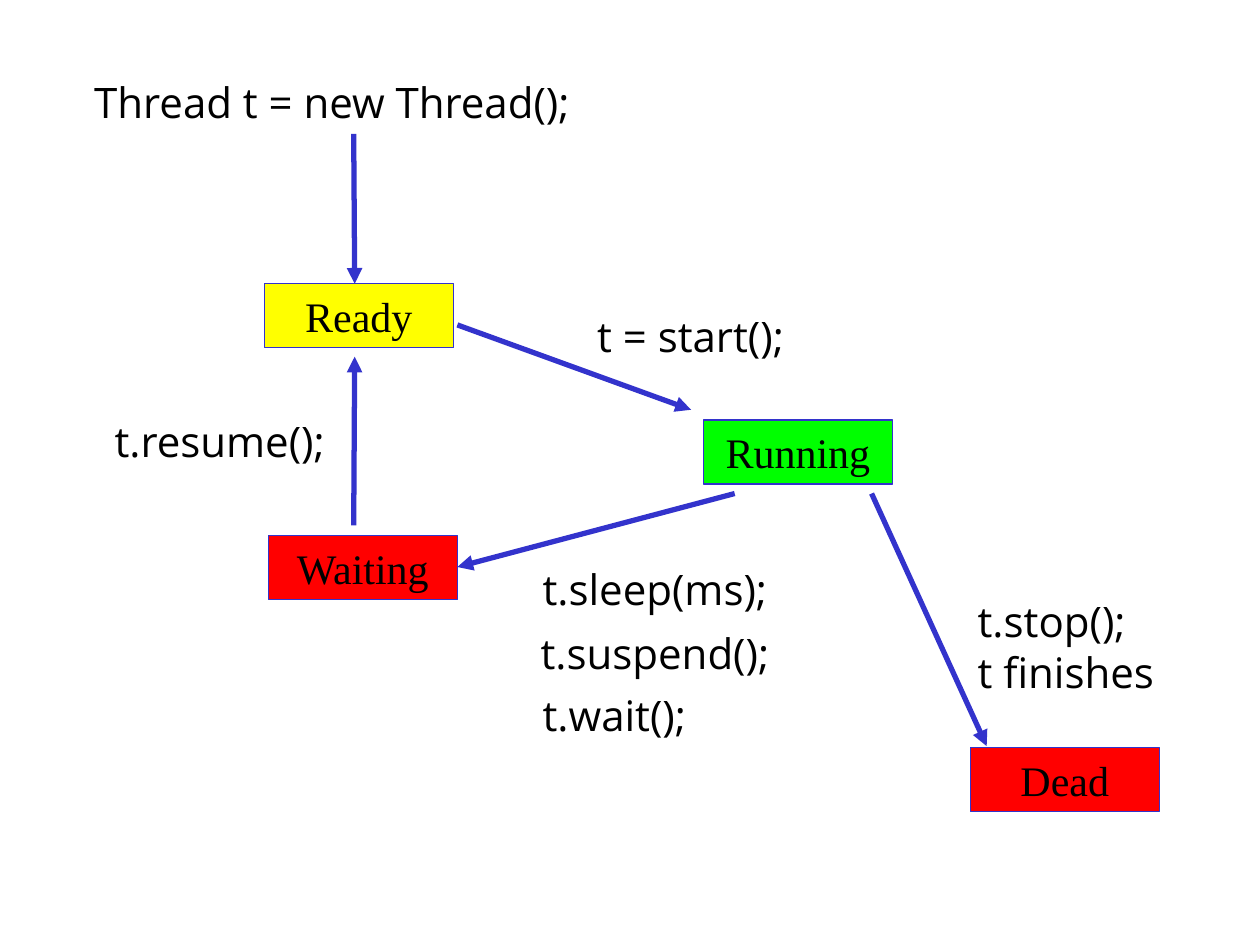
"""Draw the life cycle of a thread as a state diagram."""
from dataclasses import dataclass

from lxml import etree
from pptx import Presentation
from pptx import util as u
from pptx.dml.color import RGBColor
from pptx.enum import shapes, text
from pptx.oxml import ns


@dataclass(frozen=True)
class Theme:
    ink: str = "000000"
    line: str = "3333CC"
    ready: str = "FFFF00"
    running: str = "00FF00"
    halted: str = "FF0000"
    state_font: str = "Times New Roman"
    code_font: str = "Open Sans"
    size: float = 24
    outline: float = 0.75
    arrow: float = 3


@dataclass(frozen=True)
class State:
    name: str
    left: float
    top: float
    fill: str


@dataclass(frozen=True)
class Transition:
    start: tuple[float, float]
    end: tuple[float, float]


@dataclass(frozen=True)
class Label:
    lines: tuple[str, ...]
    left: float
    top: float
    width: float = 5.18


THEME = Theme()
STATE_WIDTH, ROW_HEIGHT, LINE_PITCH = 3.81, 1.29, 1.02
STATE_FRAME = {"word_wrap": True, "vertical_anchor": text.MSO_ANCHOR.MIDDLE}
LABEL_FRAME = {"word_wrap": True, "vertical_anchor": text.MSO_ANCHOR.TOP}
STATE_PARA = {"alignment": text.PP_ALIGN.CENTER}
LABEL_PARA = {"alignment": text.PP_ALIGN.LEFT}

STATES = [
    State("Ready", 5.33, 5.72, THEME.ready),
    State("Running", 14.18, 8.47, THEME.running),
    State("Waiting", 5.41, 10.8, THEME.halted),
    State("Dead", 19.56, 15.07, THEME.halted),
]
TRANSITIONS = [
    Transition((7.13, 2.7), (7.15, 5.72)),
    Transition((9.22, 6.55), (13.93, 8.26)),
    Transition((14.81, 9.95), (9.22, 11.43)),
    Transition((7.13, 10.59), (7.15, 7.19)),
    Transition((17.57, 9.95), (19.89, 15.04)),
]
LABELS = [
    Label(("Thread t = new Thread();",), 1.65, 1.42, 10.36),
    Label(("t = start();",), 11.79, 6.13, 4.8),
    Label(("t.resume();",), 2.06, 8.26),
    Label(("t.sleep(ms);",), 10.69, 11.23),
    Label(("t.suspend();",), 10.65, 12.52),
    Label(("t.wait();",), 10.69, 13.77),
    Label(("t.stop();", "t finishes"), 19.46, 11.89, 4.67),
]


def apply(target, values: dict) -> None:
    """Set each named attribute on the target."""
    for name, value in values.items():
        setattr(target, name, value)


def write(box, lines: tuple[str, ...], font: str, frame_format: dict, para_format: dict) -> None:
    """Fill a shape with one formatted paragraph per line."""
    frame = box.text_frame
    apply(frame, frame_format)
    for index, line in enumerate(lines):
        para = frame.add_paragraph() if index else frame.paragraphs[0]
        apply(para, para_format)
        span = para.add_run()
        span.text = line
        apply(span.font, {"name": font, "size": u.Pt(THEME.size)})
        span.font.color.rgb = RGBColor.from_string(THEME.ink)


def stroke(line, width: float) -> None:
    """Give a line the theme colour and a width in points."""
    line.color.rgb = RGBColor.from_string(THEME.line)
    line.width = u.Pt(width)


def draw_state(page, state: State) -> None:
    """Draw a filled box that holds the name of a state."""
    box = page.shapes.add_shape(
        shapes.MSO_SHAPE.RECTANGLE,
        *map(u.Cm, (state.left, state.top, STATE_WIDTH, ROW_HEIGHT)),
    )
    box.shadow.inherit = False
    box.fill.solid()
    box.fill.fore_color.rgb = RGBColor.from_string(state.fill)
    stroke(box.line, THEME.outline)
    write(box, (state.name,), THEME.state_font, STATE_FRAME, STATE_PARA)


def draw_transition(page, transition: Transition) -> None:
    """Draw an arrow from one state to the next."""
    arrow = page.shapes.add_connector(
        shapes.MSO_CONNECTOR.STRAIGHT,
        *map(u.Cm, transition.start + transition.end),
    )
    stroke(arrow.line, THEME.arrow)
    properties = arrow.element.spPr
    etree.SubElement(properties.find(ns.qn("a:ln")), ns.qn("a:tailEnd"), type="triangle")
    etree.SubElement(properties, ns.qn("a:effectLst"))


def draw_label(page, label: Label) -> None:
    """Place the code that causes a transition."""
    height = ROW_HEIGHT + LINE_PITCH * (len(label.lines) - 1)
    box = page.shapes.add_textbox(*map(u.Cm, (label.left, label.top, label.width, height)))
    write(box, label.lines, THEME.code_font, LABEL_FRAME, LABEL_PARA)


def main() -> None:
    """Build the deck and save it."""
    deck = Presentation()
    apply(deck, {"slide_width": u.Cm(25.4), "slide_height": u.Cm(19.05)})
    page = deck.slides.add_slide(deck.slide_layouts.get_by_name("Blank"))
    for draw, items in (
        (draw_state, STATES),
        (draw_transition, TRANSITIONS),
        (draw_label, LABELS),
    ):
        for item in items:
            draw(page, item)
    deck.save("out.pptx")


main()
